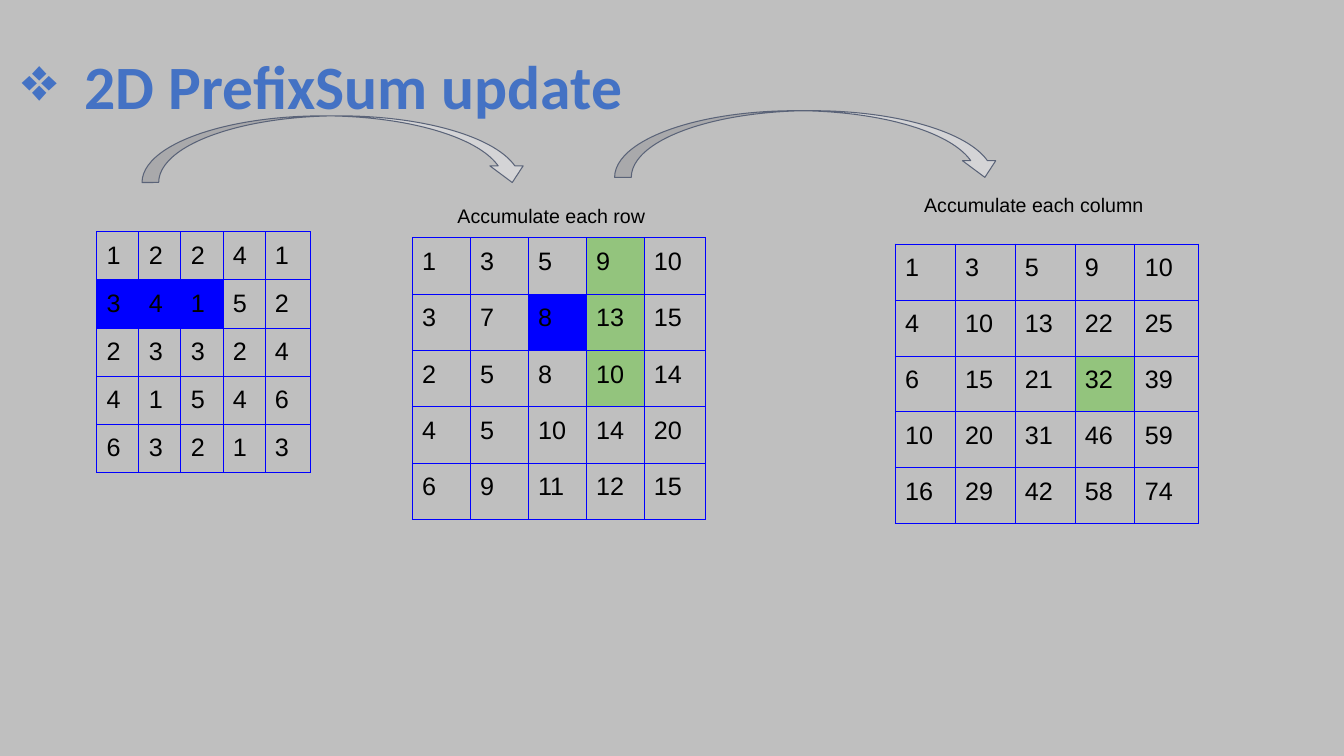
from dataclasses import dataclass
from itertools import accumulate

import pptx
import pptx.dml.color
import pptx.enum.shapes
import pptx.enum.text
import pptx.oxml
import pptx.oxml.ns
import pptx.util
from lxml import etree

Cm = pptx.util.Cm
Pt = pptx.util.Pt
RGB = pptx.dml.color.RGBColor
qn = pptx.oxml.ns.qn


@dataclass(frozen=True)
class Theme:
    back: str = "BFBFBF"
    title: str = "4472C4"
    ink: str = "000000"
    blue: str = "0000FF"
    green: str = "93C47D"
    arrow: str = "D4D4D6"
    edge: str = "5A6378"
    head: str = "Calibri"
    body: str = "Arial"
    big: int = 44
    mid: int = 18
    small: int = 14
    rule: float = 0.75
    inset: float = 0.25


theme = Theme()
Rows = list[list[int]]


@dataclass(frozen=True)
class Grid:
    left: float
    top: float
    col: float  # width of every column but the last
    last: float
    row: float
    data: Rows
    marks: dict[tuple[int, int], str]  # (row, column) to fill colour


@dataclass(frozen=True)
class Label:
    left: float
    top: float
    width: float
    text: str


@dataclass(frozen=True)
class Arrow:
    left: float
    top: float


# Values: the start grid, its row sums, then the column sums of those
start: Rows = [
    [1, 2, 2, 4, 1],
    [3, 4, 1, 5, 2],
    [2, 3, 3, 2, 4],
    [4, 1, 5, 4, 6],
    [6, 3, 2, 1, 3],
]
across: Rows = [list(accumulate(row)) for row in start]
down: Rows = [list(row) for row in zip(*(accumulate(col) for col in zip(*across)))]

grids = [
    Grid(2.44, 5.84, 1.06, 1.14, 1.07, start, {(1, c): theme.blue for c in range(3)}),
    Grid(10.39, 5.99, 1.46, 1.56, 1.42, across,
         {(1, 2): theme.blue} | {(r, 3): theme.green for r in range(3)}),
    Grid(22.56, 6.15, 1.51, 1.61, 1.41, down, {(2, 3): theme.green}),
]
labels = [
    Label(11.28, 4.88, 5.38, "Accumulate each row"),
    Label(23.04, 4.62, 6.71, "Accumulate each column"),
]
arrows = [Arrow(15.49, 2.79), Arrow(3.58, 2.92)]


def style(par, size: int, face: str, ink: str, bold: bool = False) -> None:
    font = par.font
    font.size, font.name, font.bold = Pt(size), face, bold
    font.color.rgb = RGB.from_string(ink)


def pad(box) -> None:
    box.margin_left = box.margin_right = Cm(theme.inset)
    box.margin_top = box.margin_bottom = Cm(theme.inset)


def draw_title(slide, text: str) -> None:
    shape = slide.shapes.title
    shape.left, shape.top = Cm(0.3), Cm(0.41)
    shape.width, shape.height = Cm(29.21), Cm(3.68)
    frame = shape.text_frame
    frame.text = text
    frame.word_wrap = True
    frame.auto_size = pptx.enum.text.MSO_AUTO_SIZE.NONE
    frame.vertical_anchor = pptx.enum.text.MSO_ANCHOR.MIDDLE
    par = frame.paragraphs[0]
    par.alignment = pptx.enum.text.PP_ALIGN.LEFT
    par.line_spacing = 0.9
    # Hanging diamond bullet
    props = par._p.get_or_add_pPr()
    props.set("marL", str(Cm(1.58)))
    props.set("indent", str(-Cm(1.58)))
    tint = etree.SubElement(props, qn("a:buClr"))
    etree.SubElement(tint, qn("a:srgbClr"), val=theme.title)
    etree.SubElement(props, qn("a:buChar"), char="❖")
    style(par, theme.big, theme.head, theme.title, True)


def draw_edges(cell) -> None:
    props = cell._tc.get_or_add_tcPr()
    for side in ("lnL", "lnR", "lnT", "lnB"):
        line = etree.SubElement(props, qn(f"a:{side}"), w=str(Pt(theme.rule)))
        fill = etree.SubElement(line, qn("a:solidFill"))
        etree.SubElement(fill, qn("a:srgbClr"), val=theme.blue)


def draw_grid(slide, grid: Grid) -> None:
    rows, cols = len(grid.data), len(grid.data[0])
    wide = grid.col * (cols - 1) + grid.last
    table = slide.shapes.add_table(rows, cols, Cm(grid.left), Cm(grid.top),
                                   Cm(wide), Cm(grid.row * rows)).table
    table.first_row = table.horz_banding = False
    for c, col in enumerate(table.columns):
        col.width = Cm(grid.last if c == cols - 1 else grid.col)
    for r, row in enumerate(grid.data):
        table.rows[r].height = Cm(grid.row)
        for c, value in enumerate(row):
            cell = table.cell(r, c)
            cell.text = str(value)
            pad(cell)
            style(cell.text_frame.paragraphs[0], theme.mid, theme.body, theme.ink)
            draw_edges(cell)
            if (r, c) in grid.marks:
                cell.fill.solid()
                cell.fill.fore_color.rgb = RGB.from_string(grid.marks[r, c])
            else:
                cell.fill.background()


def draw_label(slide, label: Label) -> None:
    frame = slide.shapes.add_textbox(Cm(label.left), Cm(label.top),
                                     Cm(label.width), Cm(0.99)).text_frame
    frame.word_wrap = True
    pad(frame)
    frame.text = label.text
    style(frame.paragraphs[0], theme.small, theme.body, theme.ink)


def draw_arrow(slide, arrow: Arrow) -> None:
    kind = pptx.enum.shapes.MSO_SHAPE.CURVED_DOWN_ARROW
    shape = slide.shapes.add_shape(kind, Cm(arrow.left), Cm(arrow.top),
                                   Cm(9.75), Cm(1.68))
    shape.shadow.inherit = False
    shape.fill.solid()
    shape.fill.fore_color.rgb = RGB.from_string(theme.arrow)
    shape.line.color.rgb = RGB.from_string(theme.edge)
    shape.line.width = Pt(theme.rule)


def main() -> None:
    deck = pptx.Presentation()
    deck.slide_width, deck.slide_height = Cm(33.87), Cm(19.05)
    slide = deck.slides.add_slide(deck.slide_layouts[5])
    slide.background.fill.solid()
    slide.background.fill.fore_color.rgb = RGB.from_string(theme.back)

    draw_title(slide, "2D PrefixSum update")
    for grid in grids:
        draw_grid(slide, grid)
    for label in labels:
        draw_label(slide, label)
    for arrow in arrows:
        draw_arrow(slide, arrow)
    deck.save("out.pptx")


if __name__ == "__main__":
    main()
